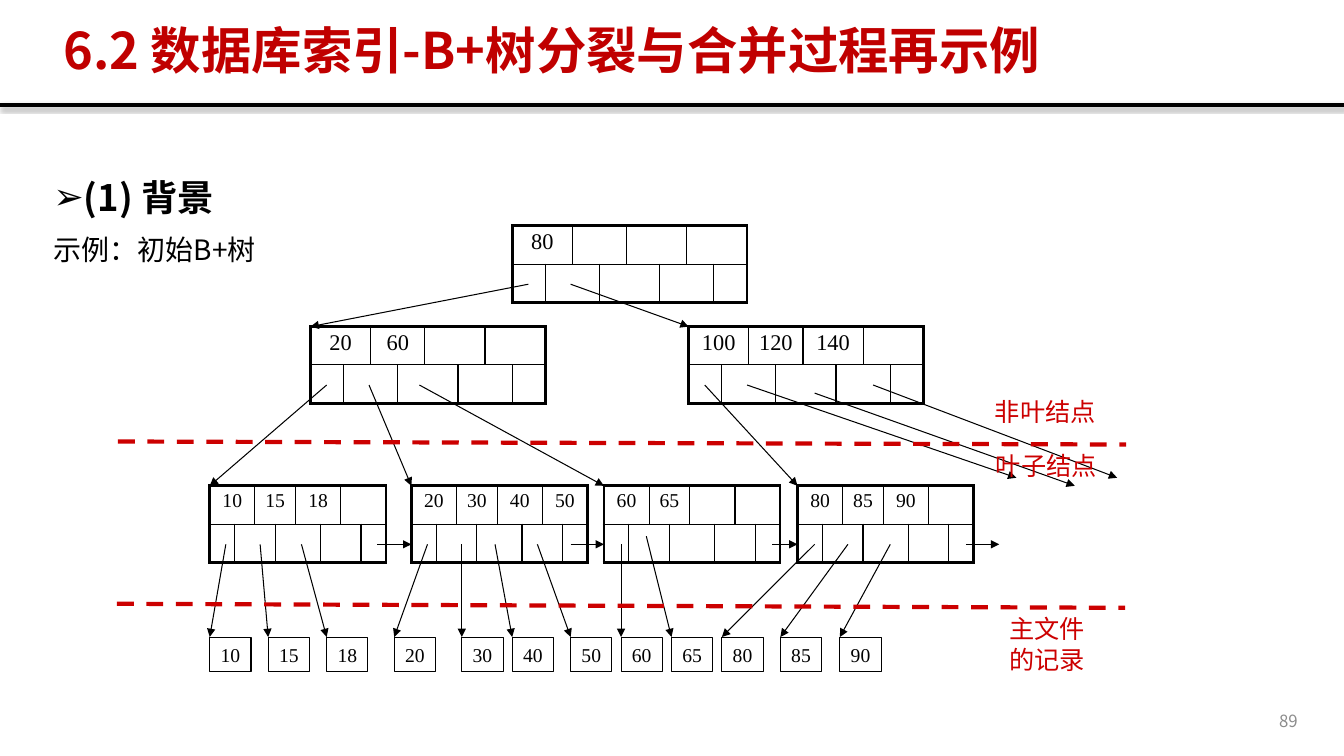
from lxml import etree
from pptx import Presentation
from pptx.dml.color import RGBColor
from pptx.enum import dml, shapes, text
from pptx.oxml import parse_xml
from pptx.oxml.ns import nsdecls, qn
from pptx.util import Inches, Pt

COLORS = {"ink": "000000", "title": "C00000", "red": "CC0000", "gray": "8C8C8C"}
SANS, SERIF = "Noto Sans CJK SC", "Times New Roman"

TITLE = "6.2 数据库索引-B+树分裂与合并过程再示例"
HEAD, INTRO = "(1) 背景", "示例：初始B+树"

# Tree levels: top, width, text size, then (left, keys) of each node
LEVELS = [
    (2.24, 2.33, 16, [(5.08, [80])]),
    (3.24, 2.33, 16, [(3.08, [20, 60]), (6.83, [100, 120, 140])]),
    (4.82, 1.75, 14, [(2.08, [10, 15, 18]), (4.08, [20, 30, 40, 50]),
                      (5.99, [60, 65]), (7.91, [80, 85, 90])]),
]
SHARES = [0.33, 0.27, 0.27, 0.27, 0.33, 0.27, 0.27, 0.33]
ROW = 0.38

# Pointers between nodes: x1, y1, x2, y2
POINTERS = [
    (5.24, 2.82, 3.08, 3.24), (5.66, 2.82, 6.83, 3.24),
    (3.24, 3.82, 2.08, 4.82), (3.66, 3.82, 4.08, 4.82),
    (4.16, 3.82, 5.99, 4.82), (6.99, 3.82, 7.91, 4.82),
    (7.41, 3.82, 10.08, 4.74), (8.08, 3.9, 10.66, 4.82),
    (8.66, 3.82, 11.08, 4.74),
]
CHAIN = [(3.74, 4.08), (5.66, 5.99), (7.66, 7.91), (9.58, 9.91)]
CHAIN_Y = 5.4

# Records of the main file: key, left, x and y where its pointer starts
RECORDS = [
    (10, 2.08, 2.24, 5.4), (15, 2.66, 2.58, 5.4), (18, 3.24, 2.99, 5.4),
    (20, 3.91, 4.24, 5.4), (30, 4.58, 4.58, 5.4), (40, 5.08, 4.91, 5.4),
    (50, 5.66, 5.33, 5.4), (60, 6.16, 6.16, 5.4), (65, 6.66, 6.41, 5.32),
    (80, 7.16, 8.08, 5.4), (85, 7.74, 8.41, 5.4), (90, 8.33, 8.83, 5.4),
]
RECORD_Y = 6.32
DIVIDERS = [(1.17, 4.38, 11.17, 4.41), (1.16, 5.99, 11.16, 6.03)]
LABELS = [
    ("非叶结点", (9.77, 3.88, 1.31, 0.43), False),
    ("叶子结点", (9.78, 4.42, 1.31, 0.43), False),
    ("主文件的记录", (9.91, 6.04, 1.12, 0.77), True),
]

prs = Presentation()
prs.slide_width, prs.slide_height = Inches(13.33), Inches(7.5)
slide = prs.slides.add_slide(prs.slide_layouts[1])


def rgb(name):
    return RGBColor.from_string(COLORS[name])


def place(shape, box):
    shape.left, shape.top, shape.width, shape.height = map(Inches, box)


def style(para, size, face=SERIF, color="ink", bold=False, align=text.PP_ALIGN.LEFT):
    para.alignment = align
    font = para.font
    font.size, font.name, font.bold = Pt(size), face, bold
    font.color.rgb = rgb(color)
    if face == SANS:
        latin = font._element.find(qn("a:latin"))
        latin.addnext(parse_xml(f'<a:ea {nsdecls("a")} typeface="{face}"/>'))


def line(x1, y1, x2, y2, color="ink", width=0.75, arrow=False, dash=False, shadow=False):
    link = slide.shapes.add_connector(
        shapes.MSO_CONNECTOR.STRAIGHT, *map(Inches, (x1, y1, x2, y2)))
    link.line.color.rgb, link.line.width = rgb(color), Pt(width)
    if dash:
        link.line.dash_style = dml.MSO_LINE.DASH
    if arrow:
        etree.SubElement(link.line._get_or_add_ln(), qn("a:tailEnd"), type="triangle")
    effects = etree.SubElement(link._element.spPr, qn("a:effectLst"))
    if shadow:
        effects.append(parse_xml(
            f'<a:outerShdw {nsdecls("a")} blurRad="{Pt(3.1)}" dist="{Pt(1.8)}" '
            f'dir="5400000" rotWithShape="0"><a:srgbClr val="{COLORS["ink"]}">'
            '<a:alpha val="35000"/></a:srgbClr></a:outerShdw>'))


def label(words, box, wrap, **look):
    shape = slide.shapes.add_textbox(*map(Inches, box))
    frame = shape.text_frame
    frame.word_wrap = wrap
    frame.text = words
    style(frame.paragraphs[0], **look)
    return frame


def border(cell, row, col):
    """Draw thick lines on the node's outer edge and thin ones inside."""
    last = col + (cell.span_width if cell.is_merge_origin else 1) == len(SHARES)
    sides = {"L": col == 0, "R": last, "T": row == 0, "B": row == 1}
    for side, outer in sides.items():
        cell._tc.get_or_add_tcPr().append(parse_xml(
            f'<a:ln{side} {nsdecls("a")} w="{Pt(2.25 if outer else 1)}"><a:solidFill>'
            f'<a:srgbClr val="{COLORS["ink"]}"/></a:solidFill></a:ln{side}>'))


def node(left, top, width, size, keys):
    frame = slide.shapes.add_table(
        2, len(SHARES), *map(Inches, (left, top, width, 2 * ROW)))
    grid = frame.table
    grid.first_row = grid.horz_banding = False
    for col, share in zip(grid.columns, SHARES):
        col.width = Inches(width * share / sum(SHARES))
    for row in grid.rows:
        row.height = Inches(ROW)
    for row, starts in enumerate([(0, 2, 4, 6), (1, 3, 5)]):
        for col in starts:
            grid.cell(row, col).merge(grid.cell(row, col + 1))
    for row in range(2):
        for col in range(len(SHARES)):
            cell = grid.cell(row, col)
            cell.margin_left = cell.margin_right = Inches(0.02)
            cell.margin_top, cell.margin_bottom = Inches(0.04), 0
            border(cell, row, col)
            cell.fill.background()
            style(cell.text_frame.paragraphs[0], size, align=text.PP_ALIGN.CENTER)
    for i, key in enumerate(keys):
        grid.cell(0, 2 * i).text_frame.paragraphs[0].add_run().text = str(key)


def record(key, left):
    box = slide.shapes.add_shape(
        shapes.MSO_SHAPE.RECTANGLE, *map(Inches, (left, RECORD_Y, 0.41, 0.34)))
    box.shadow.inherit = False
    box.fill.background()
    box.line.color.rgb, box.line.width = rgb("ink"), Pt(0.75)
    frame = box.text_frame
    frame.word_wrap, frame.vertical_anchor = False, text.MSO_ANCHOR.MIDDLE
    frame.text = str(key)
    style(frame.paragraphs[0], 14, align=text.PP_ALIGN.CENTER)


line(0, 1.04, 13.33, 1.04, width=3, shadow=True)

title, body = slide.placeholders
place(title, (0.53, 0.2, 11.7, 0.65))
title.text_frame.text = TITLE
title.text_frame.vertical_anchor = text.MSO_ANCHOR.MIDDLE
title.text_frame.auto_size = text.MSO_AUTO_SIZE.NONE
title.text_frame.paragraphs[0].line_spacing = 0.9
style(title.text_frame.paragraphs[0], 36, SANS, "title", True)

place(body, (0.43, 1.47, 12.54, 5.4))
body.text_frame.text = f"{HEAD}\n{INTRO}"
body.text_frame.auto_size = text.MSO_AUTO_SIZE.NONE
head, intro = body.text_frame.paragraphs
for para, indent, bullet in [(head, 0.25, "➢"), (intro, 0, None)]:
    props = para._p.get_or_add_pPr()
    props.set("marL", str(Inches(indent)))
    props.set("indent", str(Inches(-indent)))
    if bullet:
        etree.SubElement(props, qn("a:buChar"), char=bullet)
    else:
        etree.SubElement(props, qn("a:buNone"))
head.space_before, head.line_spacing = Pt(0), 1.5
intro.space_before = Pt(10)
style(head, 26, SANS, bold=True, align=text.PP_ALIGN.JUSTIFY)
style(intro, 20, SANS)

for top, width, size, nodes in LEVELS:
    for left, keys in nodes:
        node(left, top, width, size, keys)
for ends in POINTERS:
    line(*ends, arrow=True)
for start, end in CHAIN:
    line(start, CHAIN_Y, end, CHAIN_Y, arrow=True)
for key, left, x, y in RECORDS:
    record(key, left)
    line(x, y, left, RECORD_Y, arrow=True)
for ends in DIVIDERS:
    line(*ends, color="red", width=3, dash=True)
for words, box, wrap in LABELS:
    label(words, box, wrap, size=18, color="red")
number = label("89", (9.97, 6.95, 3, 0.4), True, size=12, face=SANS,
               color="gray", align=text.PP_ALIGN.RIGHT)
number.vertical_anchor = text.MSO_ANCHOR.MIDDLE

prs.save("out.pptx")
